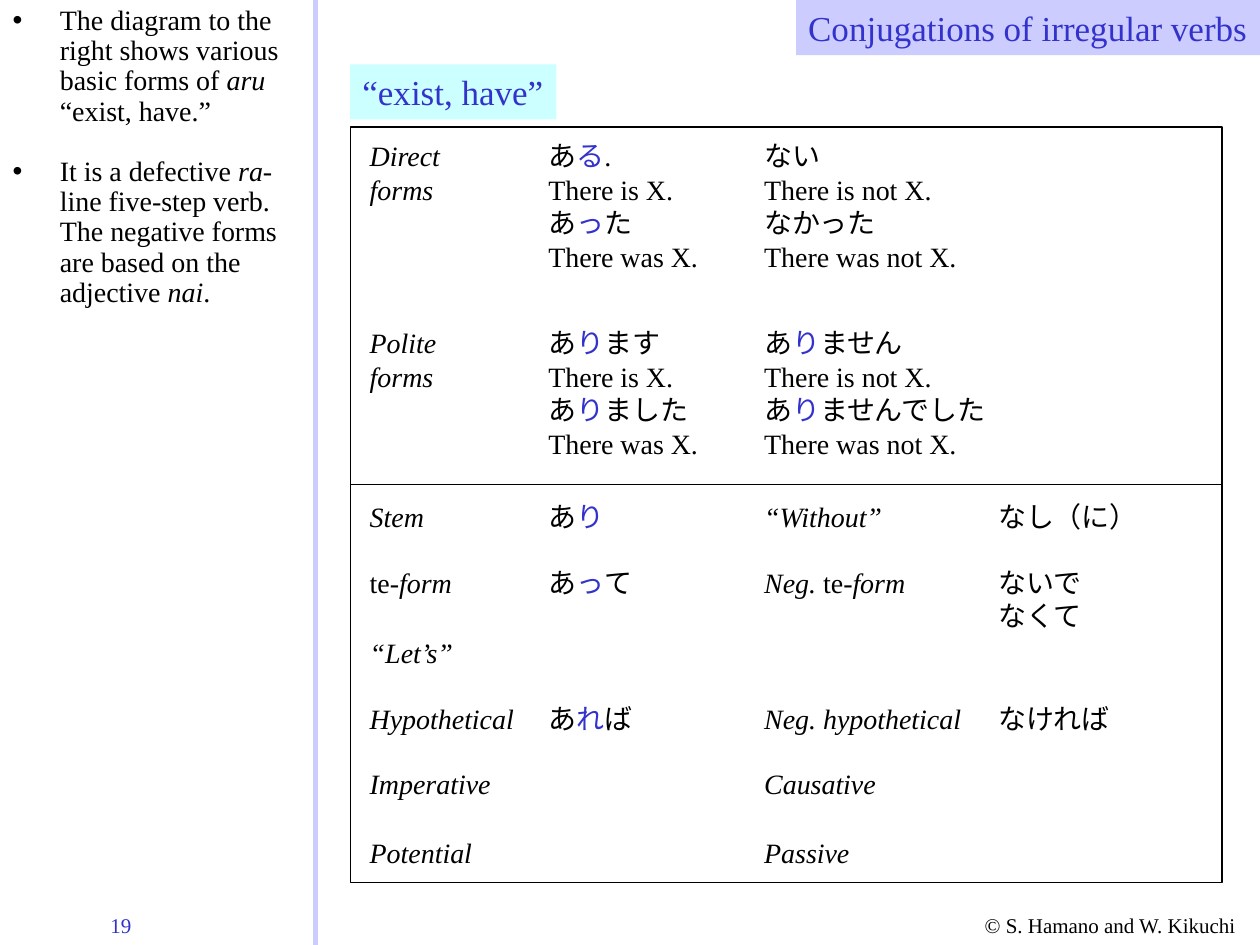
from pptx import Presentation
from pptx.util import Pt
from pptx.dml.color import RGBColor
from pptx.enum.shapes import MSO_SHAPE as SHAPE, MSO_CONNECTOR as CONN
from pptx.enum.text import MSO_ANCHOR as ANCHOR, MSO_AUTO_SIZE as AUTO, PP_ALIGN as ALIGN
from pptx.oxml.ns import qn
from lxml import etree

COLORS = {"black": "000000", "blue": "3333CC", "lilac": "CCCCFF", "cyan": "CCFFFF"}
FONT = "Times New Roman"
ITALIC_MARK, BLUE_MARK = "*", "~"


def color(name):
    return RGBColor.from_string(COLORS[name])


def write(sp, lines, size=16, base="black", wrap=False, align=ALIGN.LEFT):
    tf = sp.text_frame
    tf.auto_size = AUTO.NONE
    tf.word_wrap = wrap
    tf.vertical_anchor = ANCHOR.TOP
    for i, line in enumerate(lines):
        p = tf.paragraphs[0] if i == 0 else tf.add_paragraph()
        p.alignment = align
        p.space_before = Pt(0)
        for j, part in enumerate(line.split(ITALIC_MARK)):
            for k, text in enumerate(part.split(BLUE_MARK)):
                if text:
                    r = p.add_run()
                    r.text = text
                    r.font.name = FONT
                    r.font.size = Pt(size)
                    r.font.italic = j % 2 == 1
                    r.font.color.rgb = color("blue" if k % 2 else base)


prs = Presentation()
prs.slide_width, prs.slide_height = Pt(720), Pt(540)
s = prs.slides.add_slide(prs.slide_layouts[1])

divider = s.shapes.add_connector(CONN.STRAIGHT, Pt(180.5), Pt(0), Pt(180.5), Pt(540))
divider.line.color.rgb = color("lilac")
divider.line.width = Pt(3)
etree.SubElement(divider._element.spPr, qn("a:effectLst"))

title, body = s.shapes.title, s.placeholders[1]
title.left, title.top, title.width, title.height = Pt(455), Pt(0), Pt(265), Pt(31.5)
title.fill.solid()
title.fill.fore_color.rgb = color("lilac")
write(title, ["Conjugations of irregular verbs"], 20, "blue", align=ALIGN.RIGHT)
title.text_frame.margin_left = Pt(0)

body.left, body.top, body.width, body.height = Pt(0), Pt(0), Pt(180.5), Pt(209)
write(body, [
    "The diagram to the right shows various basic forms of *aru* “exist, have.”",
    "It is a defective *ra-*line five-step verb. The negative forms are based on the adjective *nai*.",
], wrap=True)
for p in body.text_frame.paragraphs:
    p.line_spacing = 0.9
    pPr = p._p.get_or_add_pPr()
    pPr.set("marL", str(Pt(27)))
    pPr.set("indent", str(-Pt(27)))
    etree.SubElement(pPr, qn("a:buChar"), char="•")
body.text_frame.paragraphs[1].space_before = Pt(17.3)

sp = s.shapes.add_shape(SHAPE.RECTANGLE, Pt(200), Pt(36.8), Pt(118), Pt(31.5))
sp.shadow.inherit = False
sp.fill.solid()
sp.fill.fore_color.rgb = color("cyan")
sp.line.fill.background()
write(sp, ["“exist, have”"], 20, "blue")

for top, height in [(72.5, 204.3), (276.8, 227.7)]:
    sp = s.shapes.add_shape(SHAPE.RECTANGLE, Pt(200.3), Pt(top), Pt(498), Pt(height))
    sp.shadow.inherit = False
    sp.fill.background()
    sp.line.color.rgb = color("black")
    sp.line.width = Pt(0.75)

columns = [(204.2, 97), (306.3, 100), (429.6, 142), (563.3, 95)]
rows = [
    (75.6, ["*Direct*", "*forms*"],
     ["あ~る~.", "There is X.", "あ~っ~た", "There was X."],
     ["ない", "There is not X.", "なかった", "There was not X."], []),
    (182.6, ["*Polite*", "*forms*"],
     ["あ~り~ます", "There is X.", "あ~り~ました", "There was X."],
     ["あ~り~ません", "There is not X.", "あ~り~ませんでした", "There was not X."], []),
    (281.8, ["*Stem*"], ["あ~り~"], ["*“Without”*"], ["なし（に）"]),
    (319.5, ["te*-form*"], ["あ~っ~て"], ["*Neg. *te*-form*"], ["ないで", "なくて"]),
    (359.5, ["*“Let’s”*"], [], [], []),
    (397.6, ["*Hypothetical*"], ["あ~れ~ば"], ["*Neg. hypothetical*"], ["なければ"]),
    (434.6, ["*Imperative*"], [], ["*Causative*"], []),
    (473.8, ["*Potential*"], [], ["*Passive*"], []),
]
for top, *cells in rows:
    for (left, width), lines in zip(columns, cells):
        if lines:
            height = 7.4 + 19.2 * len(lines)
            sp = s.shapes.add_textbox(Pt(left), Pt(top), Pt(width), Pt(height))
            write(sp, lines)

for left, width, text, base in [(56, 64, "19", "blue"),
                                (555.6, 164.4, "© S. Hamano and W. Kikuchi", "black")]:
    sp = s.shapes.add_textbox(Pt(left), Pt(517.7), Pt(width), Pt(21.6))
    write(sp, [text], 12, base)

prs.save("out.pptx")
